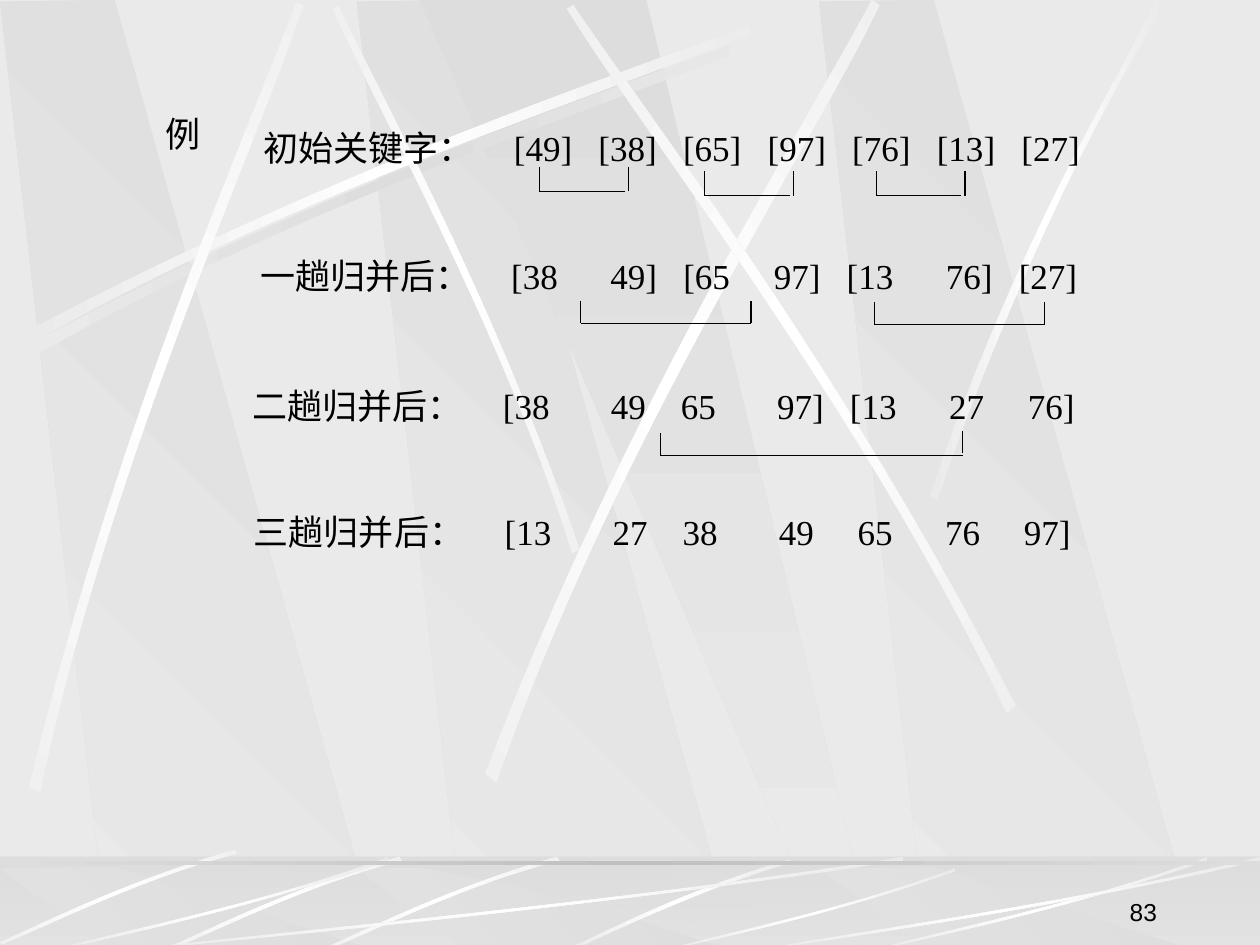
from math import cos, radians, sin

from lxml import etree
from pptx import Presentation
from pptx.dml.color import RGBColor
from pptx.enum import shapes, text
from pptx.oxml import ns
from pptx.util import Pt

HUES = {"ink": "000000", "pale": "EAEAEA", "gray": "DDDDDD",
        "white": "FFFFFF", "edge": "C0C0C0"}
SHADE = ("gray", "pale")
SHINE = ("pale", "white", "pale")
DUSK = ("pale", "gray", "pale")
FLOOR = 495.4


def hue(name):
    return RGBColor.from_string(HUES[name])


def sub(node, tag, **attrs):
    return etree.SubElement(node, ns.qn(tag), **attrs)


def spin(point, angle):
    """Turn a point clockwise about the page corner."""
    x, y = point
    c, s = cos(radians(angle)), sin(radians(angle))
    return x * c - y * s, x * s + y * c


def level(points, turn):
    """Points that, turned about the middle of their box, give the input."""
    flat = [spin(p, -turn) for p in points]
    mid = [(min(v) + max(v)) / 2 for v in zip(*flat)]
    dx, dy = (a - b for a, b in zip(spin(mid, turn), mid))
    return [(x + dx, y + dy) for x, y in flat]


def bend(shape):
    """Make the two long sides of an eight-point outline cubic curves."""
    path = shape._element.find(".//" + ns.qn("a:path"))
    legs = path.findall(ns.qn("a:lnTo"))
    for trio in (legs[:3], legs[4:7]):
        arc = etree.Element(ns.qn("a:cubicBezTo"))
        trio[0].addprevious(arc)
        for leg in trio:
            arc.append(leg[0])
            path.remove(leg)


def stops(cells, gaps, start=143.3, size=20):
    """Tab stops that leave the given gap after each cell."""
    places = [start]
    for cell, gap in zip(cells, gaps):
        width = sum(size / 2 if c.isdigit() else size / 3 for c in cell)
        places.append(places[-1] + width + gap)
    return places


def write(frame, words, size=20, font="Times New Roman", align=None, tabs=()):
    para = frame.paragraphs[0]
    if tabs:
        group = sub(para._p.get_or_add_pPr(), "a:tabLst")
        for tab in tabs:
            sub(group, "a:tab", pos=str(Pt(tab)), algn="l")
    para.alignment = align
    run = para.add_run()
    run.text = words
    run.font.size = Pt(size)
    run.font.name = font
    run.font.color.rgb = hue("ink")


class Deck:
    def __init__(self, show):
        self.slide = show.slides.add_slide(show.slide_layouts[6])
        self.items = self.slide.shapes
        back = self.slide.background.fill
        back.solid()
        back.fore_color.rgb = hue("pale")

    def paint(self, shape, tones, angle=180, alpha=None):
        """Fill with one tone, or with an even gradient at a clockwise angle."""
        shape.shadow.inherit = False
        shape.line.fill.background()
        if len(tones) == 1:
            shape.fill.solid()
            shape.fill.fore_color.rgb = hue(tones[0])
            if alpha:
                color = shape.fill._xPr.find(".//" + ns.qn("a:srgbClr"))
                sub(color, "a:alpha", val=str(alpha * 1000))
            return
        shape.fill.gradient()
        grad = shape.fill._xPr.find(ns.qn("a:gradFill"))
        grad.set("rotWithShape", "1")
        for child in list(grad):
            grad.remove(child)
        group = sub(grad, "a:gsLst")
        for i, tone in enumerate(tones):
            stop = sub(group, "a:gs", pos=str(100000 * i // (len(tones) - 1)))
            sub(stop, "a:srgbClr", val=HUES[tone])
        sub(grad, "a:lin", ang=str(angle * 60000), scaled="1")

    def rect(self, left, top, width, height, tones, **look):
        box = self.items.add_shape(shapes.MSO_SHAPE.RECTANGLE,
                                   Pt(left), Pt(top), Pt(width), Pt(height))
        self.paint(box, tones, **look)

    def poly(self, points, tones, angle=180):
        first, *rest = [(Pt(x), Pt(y)) for x, y in points]
        path = self.items.build_freeform(*first)
        path.add_line_segments(rest, close=True)
        shape = path.convert_to_shape()
        self.paint(shape, tones, angle)
        return shape

    def panels(self, top, base):
        """Three slanted panels and a beam between two heights."""
        for x in (203.8, 0, 468):
            self.poly([(x + 62, base), (x + 217.4, base + 1), (x + 65.5, top),
                       (x, top + 1)], SHADE, 135)
        self.poly([(239.8, top), (473.8, base), (499.7, base), (369.4, top)],
                  SHADE, 90)

    def ribbon(self, ends, turn=0, tones=SHINE, shift=(0, 0)):
        """Thin band between two curves, shaded along its own axis."""
        ends = [(x + shift[0], y + shift[1]) for x, y in ends]
        shape = self.poly(level(ends, turn), tones)
        bend(shape)
        shape.rotation = turn

    def sweep(self, left, width, height=54):
        """Floor band that rises to the right."""
        across = (1, .57, .17, 0, 0, .17, .62, 1)
        down = (.04, .57, .85, 1, .99, .81, .51, 0)
        self.ribbon([(left + width * a, 543.6 - height * (1 - d))
                     for a, d in zip(across, down)])

    def line(self, *ends):
        wire = self.items.add_connector(shapes.MSO_CONNECTOR.STRAIGHT,
                                        *[Pt(v) for v in ends])
        wire.line.color.rgb = hue("ink")
        wire.line.width = Pt(.75)
        sub(wire._element.spPr, "a:effectLst")

    def brace(self, left, right, top, base, gap=0, lift=0):
        self.line(left, top, left, base)
        self.line(left, base, right - gap, base)
        self.line(right, base - lift, right, top - lift)

    def label(self, words, left, top, width, height=31.7, low=False, **look):
        frame = self.items.add_textbox(Pt(left), Pt(top), Pt(width),
                                       Pt(height)).text_frame
        frame.word_wrap = True
        if low:
            frame.vertical_anchor = text.MSO_ANCHOR.BOTTOM
        write(frame, words, **look)

    def row(self, name, left, top, cells, gaps):
        cells = cells.split()
        self.label("\t".join([name, *cells]), left, top, 485,
                   tabs=stops(cells, gaps))


BAR = [(14.4, 198), (204.5, 96.5), (377.3, 42.5), (450.7, 13),
       (452.9, 17.3), (380.2, 49.7), (182.9, 108.7), (16.6, 205.2)]
RAYS = [
    ([(16.6, 450), (67, 240.5), (141.8, 75.6), (169.2, 1.4),
      (173.5, 2.9), (149, 77.8), (61.9, 265), (23, 452.9)], 311.7),
    ([(277.2, 442.1), (358.6, 230.4), (459.4, 73.4), (498.2, 0),
      (502.6, 2.9), (467.3, 77.8), (349.9, 255.6), (283.7, 447.1)], 321.6),
    ([(580.3, 403.2), (482.4, 211), (371.5, 68.4), (327.6, 2.9),
      (324, 5), (365, 72.7), (493.2, 234), (575.3, 407.5)], 34.8),
    ([(531.4, 283), (586.1, 124.6), (639.4, 47.5), (660.2, 0),
      (667.4, 0), (601.9, 104.4), (553.7, 231.8), (535.7, 285.8)], 0),
]
THIN = [(331.2, 313.9), (281.5, 168.5), (217.4, 55.4), (193.7, 3.6),
        (190.1, 5), (212.4, 56.9), (286.6, 185.8), (326.9, 316.1)]
WIDE = [(451.4, 491), (386.6, 510.5), (343.4, 534.2), (322.6, 542.9),
        (326.2, 543.6), (352.8, 530.6), (411.1, 504), (452.2, 493.2)]
SLIM = [(318.2, 489.6), (255.6, 507.6), (206.6, 532.8), (184.3, 542.2),
        (185, 543.6), (207.4, 535), (262.8, 506.2), (319.7, 491.8)]
SWEEPS = [(72, 444), (30, 192), (379.4, 166.3, 47.5), (498, 192), (432, 288)]
ROWS = [
    ("初始关键字：", 143.3, 68.8, "[49] [38] [65] [97] [76] [13] [27]", [15] * 6),
    ("一趟归并后：", 141.8, 141.8, "[38 49] [65 97] [13 76] [27]",
     [30, 15, 25, 15, 30, 15]),
    ("二趟归并后：", 137, 216, "[38 49 65 97] [13 27 76]",
     [35, 20, 35, 15, 30, 25]),
    ("三趟归并后：", 138, 288, "[13 27 38 49 65 76 97]",
     [35, 20, 35, 25, 30, 25]),
]
BRACES = [(308.2, 359.3, 95.5, 109.4, 2.4), (402.5, 453.6, 98, 111.9, 2.4),
          (501, 551.5, 98, 111.9, 2.4), (331.9, 429.1, 172, 184.8),
          (499.7, 596.9, 172.8, 185.6), (377.3, 550.1, 247.7, 260.4, 0, 1.4)]


def main():
    show = Presentation()
    show.slide_width, show.slide_height = Pt(720), Pt(540)
    deck = Deck(show)

    deck.panels(0, 540.7)
    deck.ribbon(BAR, tones=DUSK)
    deck.ribbon(THIN, 45)
    deck.ribbon(BAR, shift=(-4.3, -5.8))
    for ray, turn in RAYS:
        deck.ribbon(ray, turn)

    deck.rect(0, 489.6, 720, 54, SHADE, angle=90)
    deck.panels(FLOOR, 543)
    deck.rect(0, 489, 720, 54, ("gray",), alpha=50)
    deck.ribbon(WIDE)
    for shift in ((0, 0), (-90, 0), (-184, -4)):
        deck.ribbon(SLIM, 314.9, shift=shift)
    for band in SWEEPS:
        deck.sweep(*band)
    deck.rect(0, 492.3, 720, 1.8, ("gray", "edge", "gray"))

    deck.label("例", 87.4, 60.5, 36)
    for row in ROWS:
        deck.row(*row)
    for brace in BRACES:
        deck.brace(*brace)
    deck.label("83", 518.4, 496.8, 149.8, 36, low=True, size=14, font="Arial",
               align=text.PP_ALIGN.RIGHT)
    show.save("out.pptx")


if __name__ == "__main__":
    main()
